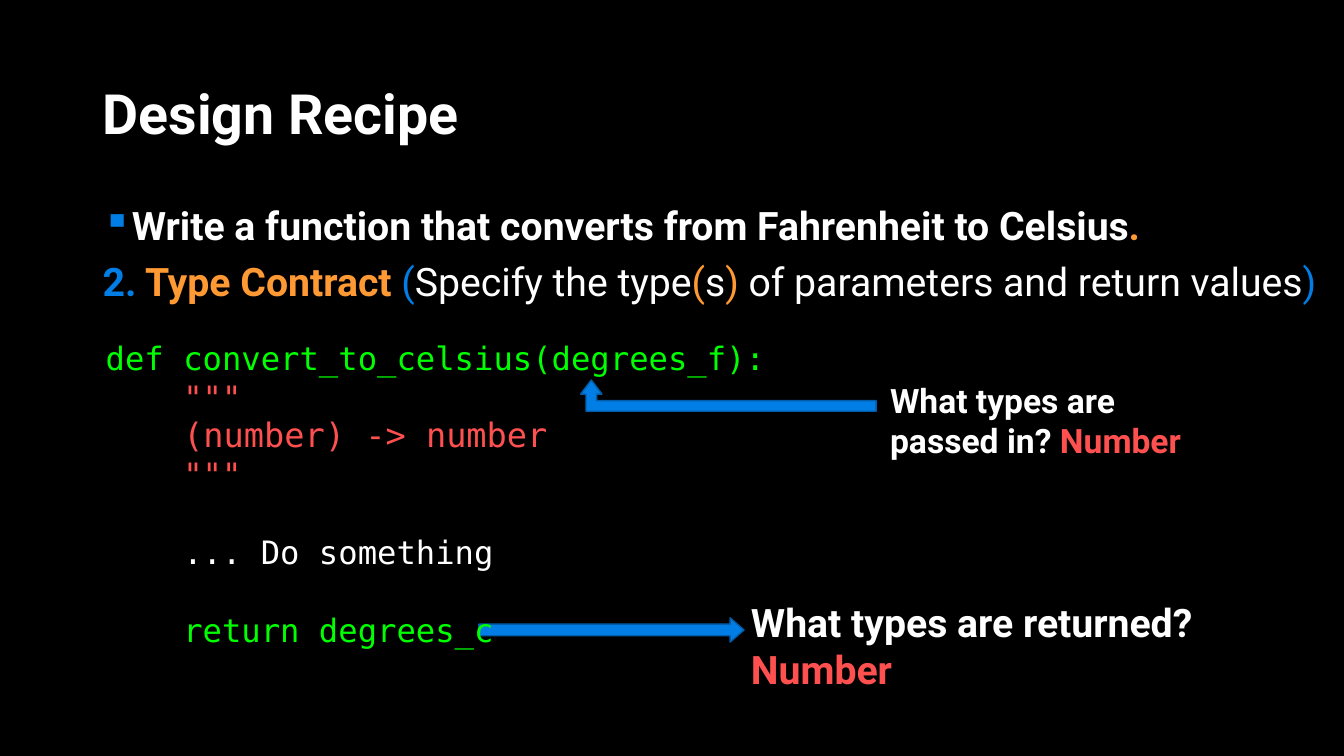
from lxml import etree
from pptx import Presentation
from pptx.dml.color import RGBColor
from pptx.enum import shapes, text
from pptx.oxml.ns import qn
from pptx.util import Inches, Pt

WIDTH, HEIGHT = Inches(13.33), Inches(7.5)
COLOURS = {
    "black": "000000", "white": "FFFFFF", "orange": "FF9933", "blue": "017EE5",
    "bullet": "007EE5", "edge": "015DA9", "red": "FF5050", "green": "00FF00",
}
SANS, MONO = "Roboto", "DejaVu Sans Mono"
CODE_SIZE, CODE_LINE = 23, 27.8
CODE_INDENT = 4 * 0.602 * CODE_SIZE  # four characters, in points


def colour(name):
    return RGBColor.from_string(COLOURS[name])


def place(left, top, width, height):
    """Turn percentages of the slide into lengths."""
    return (int(WIDTH * left / 100), int(HEIGHT * top / 100),
            int(WIDTH * width / 100), int(HEIGHT * height / 100))


def add_span(para, words, tint, size, font=SANS, bold=True):
    span = para.add_run()
    span.text = words
    span.font.name, span.font.size, span.font.bold = font, Pt(size), bold
    span.font.color.rgb = colour(tint)


def add_box(page, area, paragraphs, size, line=None, before=0,
            anchor=text.MSO_ANCHOR.TOP):
    """Add a text box; each paragraph is a list of (words, colour, bold)."""
    frame = page.shapes.add_textbox(*place(*area)).text_frame
    frame.word_wrap = True
    frame.vertical_anchor = anchor
    for index, spans in enumerate(paragraphs):
        para = frame.paragraphs[0] if index == 0 else frame.add_paragraph()
        para.line_spacing = line
        para.space_before = Pt(before)
        for words, tint, bold in spans:
            add_span(para, words, tint, size, bold=bold)
    return frame


def add_bullet(para, symbol):
    properties = para._p.get_or_add_pPr()
    properties.set("marL", str(Inches(0.25)))
    properties.set("indent", str(-Inches(0.25)))
    tint = etree.SubElement(properties, qn("a:buClr"))
    etree.SubElement(tint, qn("a:srgbClr"), val=COLOURS["bullet"])
    etree.SubElement(properties, qn("a:buChar"), char=symbol)


def add_code(page, area, lines):
    """Add code lines given as (words, colour, size, indent level, gap lines)."""
    frame = page.shapes.add_textbox(*place(*area)).text_frame
    frame.word_wrap = True
    for index, (words, tint, size, level, gap) in enumerate(lines):
        para = frame.paragraphs[0] if index == 0 else frame.add_paragraph()
        para.line_spacing = Pt(CODE_LINE)
        para.space_before = Pt(gap * CODE_LINE)
        para._p.get_or_add_pPr().set("marL", str(Pt(level * CODE_INDENT)))
        add_span(para, words, tint, size, MONO, bold=False)


def add_arrow(page, kind, area, adjustments, mirrored=False):
    arrow = page.shapes.add_shape(kind, *place(*area))
    arrow.shadow.inherit = False
    for index, value in enumerate(adjustments):
        arrow.adjustments[index] = value
    arrow.fill.solid()
    arrow.fill.fore_color.rgb = colour("blue")
    arrow.line.color.rgb = colour("edge")
    arrow.line.width = Pt(1)
    if mirrored:
        arrow._element.spPr.xfrm.set("flipH", "1")


def main():
    deck = Presentation()
    deck.slide_width, deck.slide_height = WIDTH, HEIGHT
    page = deck.slides.add_slide(deck.slide_layouts[6])
    page.background.fill.solid()
    page.background.fill.fore_color.rgb = colour("black")

    add_box(page, (6.9, 10.67, 86.27, 9.6), [[("Design Recipe", "white", True)]],
            39.6, line=0.9, anchor=text.MSO_ANCHOR.MIDDLE)
    task = [("Write a function that converts from Fahrenheit to Celsius", "white", True),
            (".", "orange", True)]
    step = [("2.", "blue", True), (" Type Contract ", "orange", True),
            ("(", "blue", False), ("Specify the type", "white", False),
            ("(", "orange", False), ("s", "white", False), (")", "orange", False),
            (" of parameters and return values", "white", False), (")", "blue", False)]
    body = add_box(page, (6.9, 26.67, 93.1, 70.53), [task, step], 28, line=0.9, before=10)
    add_bullet(body.paragraphs[0], "▪")

    add_box(page, (65.49, 49.6, 25.21, 12.13),
            [[("What types are passed in? ", "white", True), ("Number", "red", True)]], 24)
    add_arrow(page, shapes.MSO_SHAPE.RIGHT_ARROW, (35.63, 81.73, 19.73, 3.2), (0.48, 0.57))
    add_box(page, (55.14, 78.53, 37.43, 13.87),
            [[("What types are returned?", "white", True)], [("Number", "red", True)]], 28)
    add_arrow(page, shapes.MSO_SHAPE.BENT_UP_ARROW, (43.21, 50.27, 21.98, 4.13),
              (0.34, 0.34, 0.45), mirrored=True)
    add_code(page, (7.13, 44, 57.99, 42.8), [
        ("def convert_to_celsius(degrees_f):", "green", CODE_SIZE, 0, 0),
        ('"""', "red", CODE_SIZE, 1, 0),
        ("(number) -> number", "red", 24, 1, 0),
        ('"""', "red", CODE_SIZE, 1, 0),
        ("... Do something", "white", CODE_SIZE, 1, 1),
        ("return degrees_c", "green", CODE_SIZE, 1, 1),
    ])
    deck.save("out.pptx")


if __name__ == "__main__":
    main()
